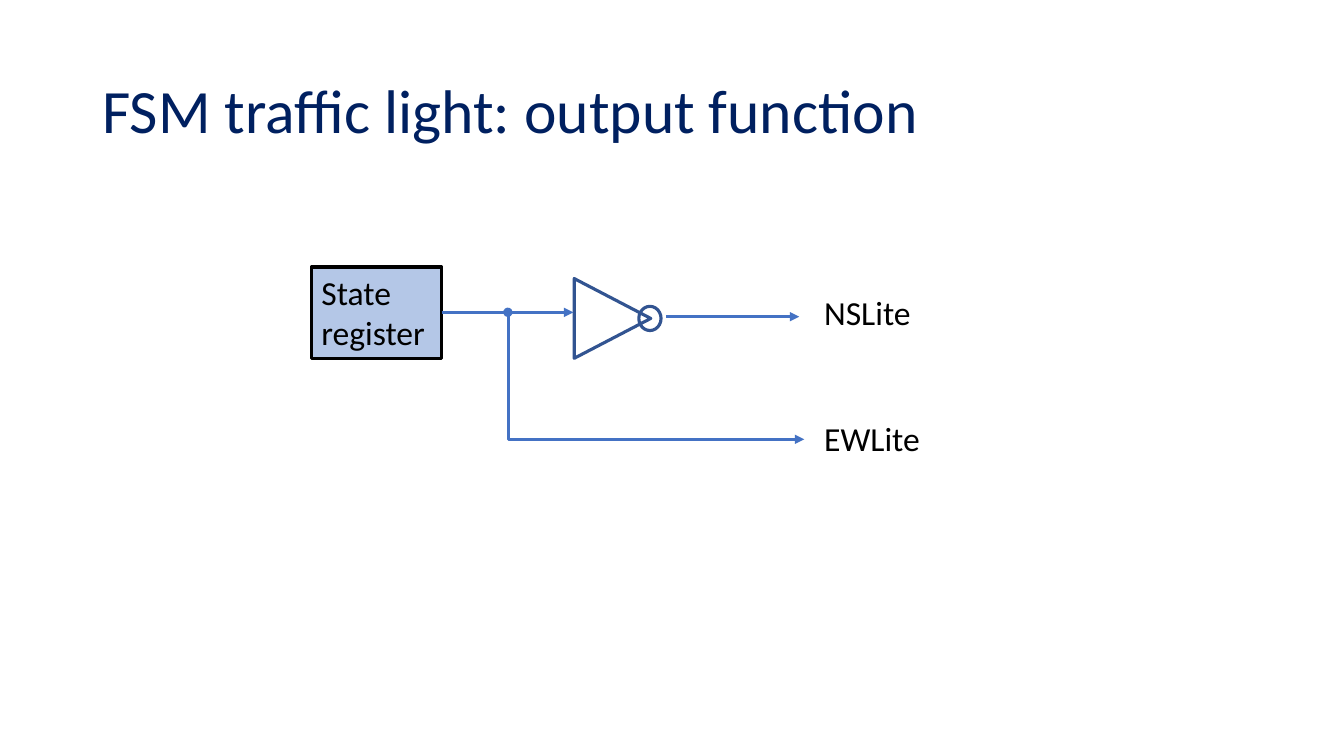
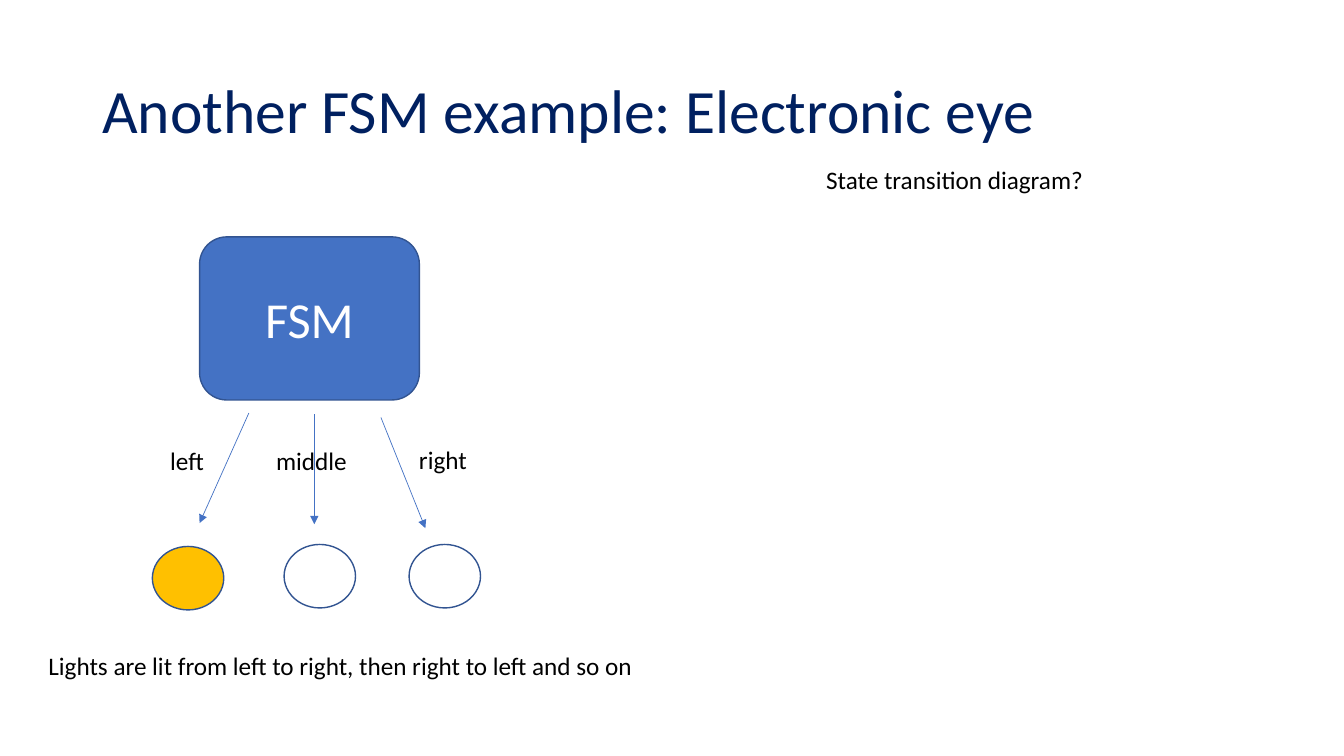
from lxml.etree import SubElement
from pptx import Presentation
from pptx.dml.color import RGBColor
from pptx.enum.shapes import MSO_CONNECTOR as CONNECTOR, MSO_SHAPE as SHAPE
from pptx.enum.text import MSO_ANCHOR as ANCHOR, PP_ALIGN as ALIGN
from pptx.oxml.ns import qn
from pptx.util import Cm, Pt

FONT = "Calibri"
NAVY = RGBColor(0x00, 0x20, 0x60)
BLACK = RGBColor(0x00, 0x00, 0x00)
WHITE = RGBColor(0xFF, 0xFF, 0xFF)
BLUE = RGBColor(0x44, 0x72, 0xC4)
OUTLINE = RGBColor(0x32, 0x54, 0x91)
PALE_BLUE = RGBColor(0xB4, 0xC7, 0xE7)
AMBER = RGBColor(0xFF, 0xC0, 0x00)


def write(shape, text, size=18, color=BLACK, align=ALIGN.LEFT,
          anchor=ANCHOR.TOP, wrap=False, spacing=1.0):
    frame = shape.text_frame
    frame.word_wrap = wrap
    frame.vertical_anchor = anchor
    paragraph = frame.paragraphs[0]
    paragraph.alignment = align
    paragraph.line_spacing = spacing
    run = paragraph.add_run()
    run.text = text
    run.font.name = FONT
    run.font.size = Pt(size)
    run.font.color.rgb = color


def add_arrow(slide, start, end, width, kind=CONNECTOR.STRAIGHT, head=None):
    points = [Cm(value) for value in (*start, *end)]
    arrow = slide.shapes.add_connector(kind, *points)
    arrow.line.color.rgb = BLUE
    arrow.line.width = Pt(width)
    line = arrow.line._get_or_add_ln()
    if head:
        SubElement(line, qn("a:headEnd"), type=head)
    SubElement(line, qn("a:tailEnd"), type="triangle")
    SubElement(arrow._element.spPr, qn("a:effectLst"))
    return arrow


presentation = Presentation()
presentation.slide_width = Cm(33.87)
presentation.slide_height = Cm(19.05)

slides = []
for title in ("FSM traffic light: output function",
              "Another FSM example: Electronic eye"):
    slide = presentation.slides.add_slide(presentation.slide_layouts[6])
    title_box = slide.shapes.add_textbox(Cm(2.33), Cm(1.01), Cm(29.21), Cm(3.68))
    write(title_box, title, size=44, color=NAVY, anchor=ANCHOR.MIDDLE,
          wrap=True, spacing=0.9)
    slides.append(slide)
traffic_slide, eye_slide = slides

LIGHT_SIZE = (1.8, 1.6)
shapes = {}
for name, slide, kind, left, top, width, height, fill, outline, weight in (
    ("register", traffic_slide, SHAPE.RECTANGLE, 7.85, 6.73, 3.28, 2.31, PALE_BLUE, BLACK, 2.25),
    ("inverter", traffic_slide, SHAPE.ISOSCELES_TRIANGLE, 14.43, 7.06, 2.01, 1.93, None, OUTLINE, 2.25),
    ("bubble", traffic_slide, SHAPE.OVAL, 16.1, 7.72, 0.56, 0.61, None, OUTLINE, 2.25),
    ("machine", eye_slide, SHAPE.ROUNDED_RECTANGLE, 5.03, 5.97, 5.54, 4.11, BLUE, OUTLINE, 1),
    ("left light", eye_slide, SHAPE.OVAL, 3.84, 13.77, *LIGHT_SIZE, AMBER, OUTLINE, 1),
    ("middle light", eye_slide, SHAPE.OVAL, 7.16, 13.72, *LIGHT_SIZE, WHITE, OUTLINE, 1),
    ("right light", eye_slide, SHAPE.OVAL, 10.31, 13.72, *LIGHT_SIZE, WHITE, OUTLINE, 1),
):
    shape = slide.shapes.add_shape(kind, Cm(left), Cm(top), Cm(width), Cm(height))
    shape.shadow.inherit = False
    if fill is None:
        shape.fill.background()
    else:
        shape.fill.solid()
        shape.fill.fore_color.rgb = fill
    shape.line.color.rgb = outline
    shape.line.width = Pt(weight)
    shapes[name] = shape

shapes["inverter"].rotation = 90
write(shapes["register"], "State register", size=24, wrap=True)
write(shapes["machine"], "FSM", size=36, color=WHITE, align=ALIGN.CENTER,
      anchor=ANCHOR.MIDDLE, wrap=True)

add_arrow(traffic_slide, (11.13, 7.87), (14.45, 7.87), 2.25)
add_arrow(traffic_slide, (16.79, 7.98), (20.14, 7.98), 2.25)
branch = add_arrow(traffic_slide, (12.8, 7.87), (20.27, 11.07), 2.25,
                   kind=CONNECTOR.ELBOW, head="oval")
geometry = branch._element.spPr.find(qn("a:prstGeom"))
SubElement(geometry.find(qn("a:avLst")), qn("a:gd"), name="adj1", fmla="val 200")

for start, end in (
    ((6.27, 10.41), (5.03, 13.18)),
    ((7.92, 10.44), (7.92, 13.21)),
    ((9.6, 10.52), (10.72, 13.31)),
):
    add_arrow(eye_slide, start, end, 0.5)

for slide, text, left, top, width, height, size in (
    (traffic_slide, "NSLite", 20.52, 7.24, 2.72, 1.27, 24),
    (traffic_slide, "EWLite", 20.52, 10.41, 2.95, 1.27, 24),
    (eye_slide, "left", 4.04, 11.1, 1.4, 1.02, 18),
    (eye_slide, "middle", 6.71, 11.1, 2.31, 1.02, 18),
    (eye_slide, "right", 10.31, 11.07, 1.73, 1.02, 18),
    (eye_slide, "Lights are lit from left to right, then right to left and so on",
     0.97, 16.26, 15.44, 1.02, 18),
    (eye_slide, "State transition diagram?", 20.57, 4.01, 7.06, 1.02, 18),
):
    label = slide.shapes.add_textbox(Cm(left), Cm(top), Cm(width), Cm(height))
    write(label, text, size=size)

presentation.save("out.pptx")
